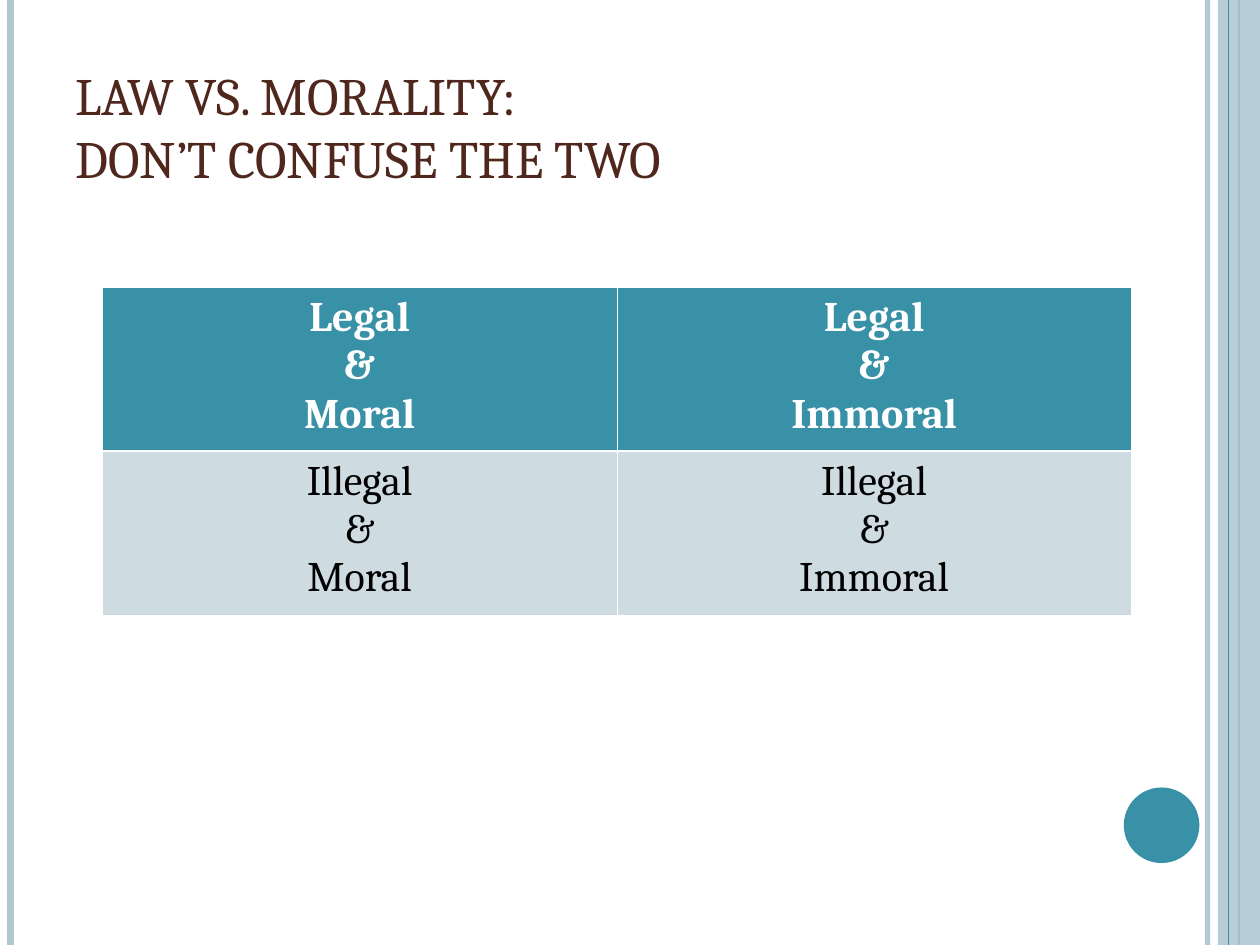
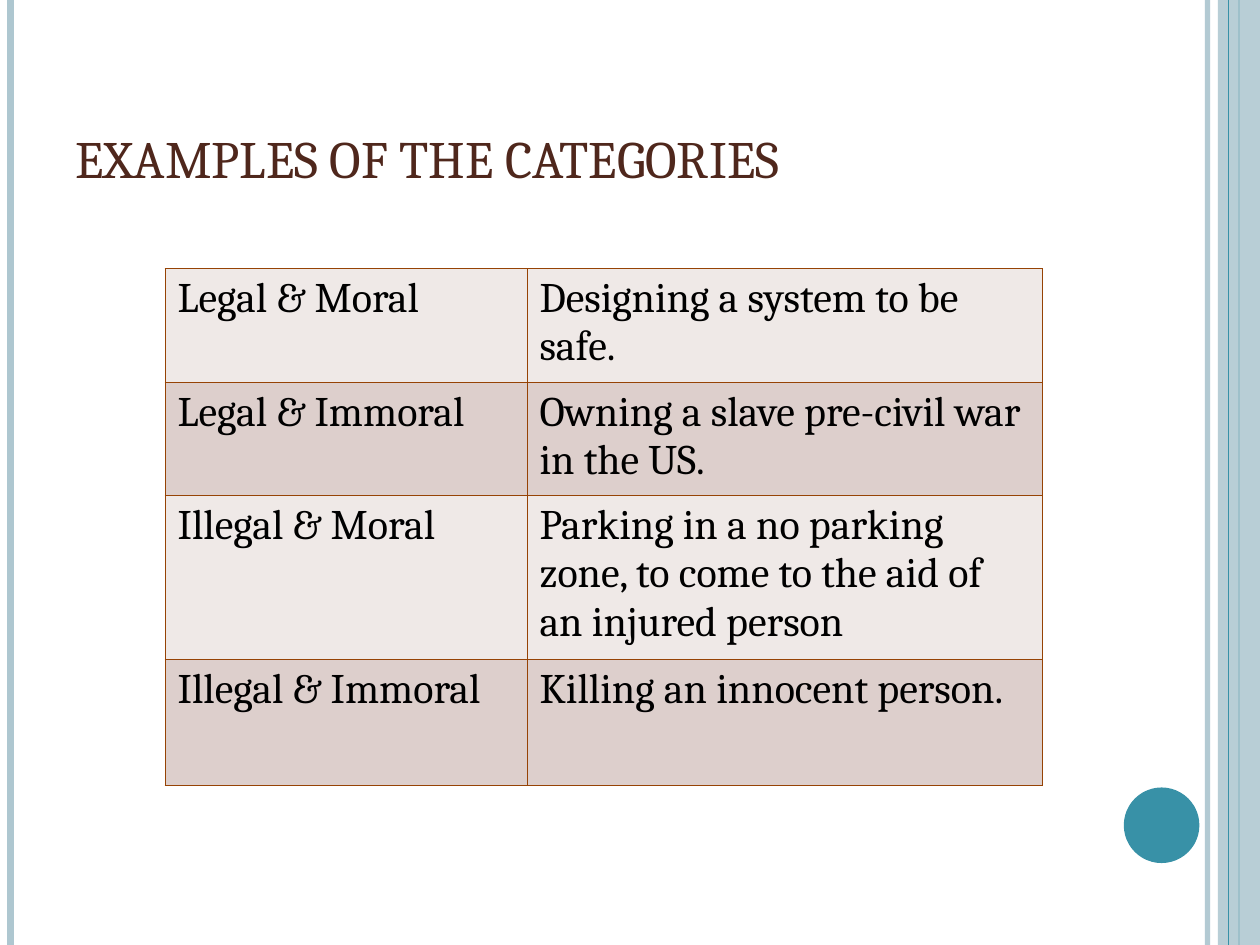
from lxml.etree import SubElement
from pptx import Presentation
from pptx.dml.color import RGBColor
from pptx.enum.shapes import MSO_CONNECTOR, MSO_SHAPE
from pptx.enum.text import MSO_ANCHOR, PP_ALIGN
from pptx.oxml import parse_xml
from pptx.oxml.ns import nsdecls, qn
from pptx.util import Pt

WIDE, HIGH = 720, 540
TEAL, PALE, BROWN, RUST = "3891A7", "AEC7D0", "4F271C", "964305"
WHITE, BLACK = "FFFFFF", "000000"

# Rails, back to front: x, width, colour, opacity in percent
RAILS = [
    (690, 3, PALE, 93),
    (6, 4.5, PALE, 100),
    (708, 1.5, TEAL, 100),
]
BAND = (696, 0, 24, HIGH)
EDGE = (702, 0.75, TEAL, 100)
DISC = (642.2, 450, 43.2, 43.2)
TITLE = (36, 21.6, 588, 90)

HEAD = {"size": Pt(24), "name": "Cambria", "bold": True}
BODY = {**HEAD, "bold": False}

SLIDES = [
    {
        "title": "LAW VS. MORALITY: \vDON’T CONFUSE THE TWO",
        "at": (58.5, 164.2),
        "cols": [294, 294],
        "rows": [93.6, 93.6],
        "cells": [
            ["Legal\n&\nMoral", "Legal\n&\nImmoral"],
            ["Illegal\n&\nMoral", "Illegal\n&\nImmoral"],
        ],
        "fills": [TEAL, "CEDCE1"],
        "inks": [WHITE, BLACK],
        "fonts": [HEAD, BODY],
        "align": PP_ALIGN.CENTER,
        "grid": WHITE,
        "rule": 1.47,
    },
    {
        "title": "EXAMPLES OF THE CATEGORIES",
        "at": (94.3, 153.4),
        "cols": [206.8, 294.8],
        "rows": [64.8, 64.8, 93.6, 72],
        "cells": [
            ["Legal & Moral", "Designing a system to be safe."],
            ["Legal & Immoral", "Owning a slave pre-civil war in the US."],
            ["Illegal & Moral",
             "Parking in a no parking zone, to come to the aid of an injured person"],
            ["Illegal & Immoral", "Killing an innocent person."],
        ],
        "fills": ["EFE9E7", "DDCFCC"],
        "inks": [BLACK],
        "fonts": [BODY],
        "align": PP_ALIGN.LEFT,
        "grid": RUST,
        "rule": 0.45,
    },
]


def rgb(code):
    return RGBColor.from_string(code)


def points(box):
    return [Pt(n) for n in box]


def style(para, look, ink):
    for key, val in look.items():
        setattr(para.font, key, val)
    para.font.color.rgb = rgb(ink)


def fade(fill, share):
    """Set the opacity of a solid fill, in percent."""
    tint = fill._xPr.find(qn("a:solidFill"))[0]
    SubElement(tint, qn("a:alpha"), val=str(share * 1000))


def add_rail(slide, x, width, ink, share):
    rail = slide.shapes.add_connector(
        MSO_CONNECTOR.STRAIGHT, *points((x, 0, x, HIGH)))
    rail.line.width = Pt(width)
    rail.line.color.rgb = rgb(ink)
    if share < 100:
        fade(rail.line.fill, share)
    SubElement(rail._element.spPr, qn("a:effectLst"))


def add_plain(slide, kind, box, ink):
    shape = slide.shapes.add_shape(kind, *points(box))
    shape.shadow.inherit = False
    shape.fill.solid()
    shape.fill.fore_color.rgb = rgb(ink)
    shape.line.fill.background()
    return shape


def add_frame(slide):
    """Draw the side rails, band and disc that every slide carries."""
    for rail in RAILS:
        add_rail(slide, *rail)
    band = add_plain(slide, MSO_SHAPE.RECTANGLE, BAND, PALE)
    fade(band.fill, 87)
    add_rail(slide, *EDGE)
    add_plain(slide, MSO_SHAPE.OVAL, DISC, TEAL)


def add_title(slide, text):
    frame = slide.shapes.add_textbox(*points(TITLE)).text_frame
    frame.word_wrap = True
    frame.vertical_anchor = MSO_ANCHOR.BOTTOM
    para = frame.paragraphs[0]
    para.text = text
    style(para, {"size": Pt(30), "name": "Cambria"}, BROWN)


def add_borders(cell, ink, widths):
    props = cell._tc.get_or_add_tcPr()
    for spot, (side, width) in enumerate(widths.items()):
        props.insert(spot, parse_xml(
            f'<a:ln{side} {nsdecls("a")} w="{int(Pt(width))}"><a:solidFill>'
            f'<a:srgbClr val="{ink}"/></a:solidFill></a:ln{side}>'))


def add_grid(slide, data):
    cols, rows = data["cols"], data["rows"]
    box = points((*data["at"], sum(cols), sum(rows)))
    table = slide.shapes.add_table(len(rows), len(cols), *box).table
    table.first_row = table.horz_banding = False
    for col, width in zip(table.columns, cols):
        col.width = Pt(width)
    for r, texts in enumerate(data["cells"]):
        table.rows[r].height = Pt(rows[r])
        fill, ink, look = (data[key][r % len(data[key])]
                           for key in ("fills", "inks", "fonts"))
        widths = {"L": 0.45, "R": 0.45,
                  "T": data["rule"] if r else 0.45,
                  "B": data["rule"] if r < len(rows) - 1 else 0.45}
        for c, text in enumerate(texts):
            cell = table.cell(r, c)
            cell.text = text
            cell.fill.solid()
            cell.fill.fore_color.rgb = rgb(fill)
            add_borders(cell, data["grid"], widths)
            for para in cell.text_frame.paragraphs:
                para.alignment = data["align"]
                style(para, look, ink)


def main():
    deck = Presentation()
    deck.slide_width, deck.slide_height = Pt(WIDE), Pt(HIGH)
    for data in SLIDES:
        slide = deck.slides.add_slide(deck.slide_layouts[6])
        add_frame(slide)
        add_title(slide, data["title"])
        add_grid(slide, data)
    deck.save("out.pptx")


if __name__ == "__main__":
    main()
